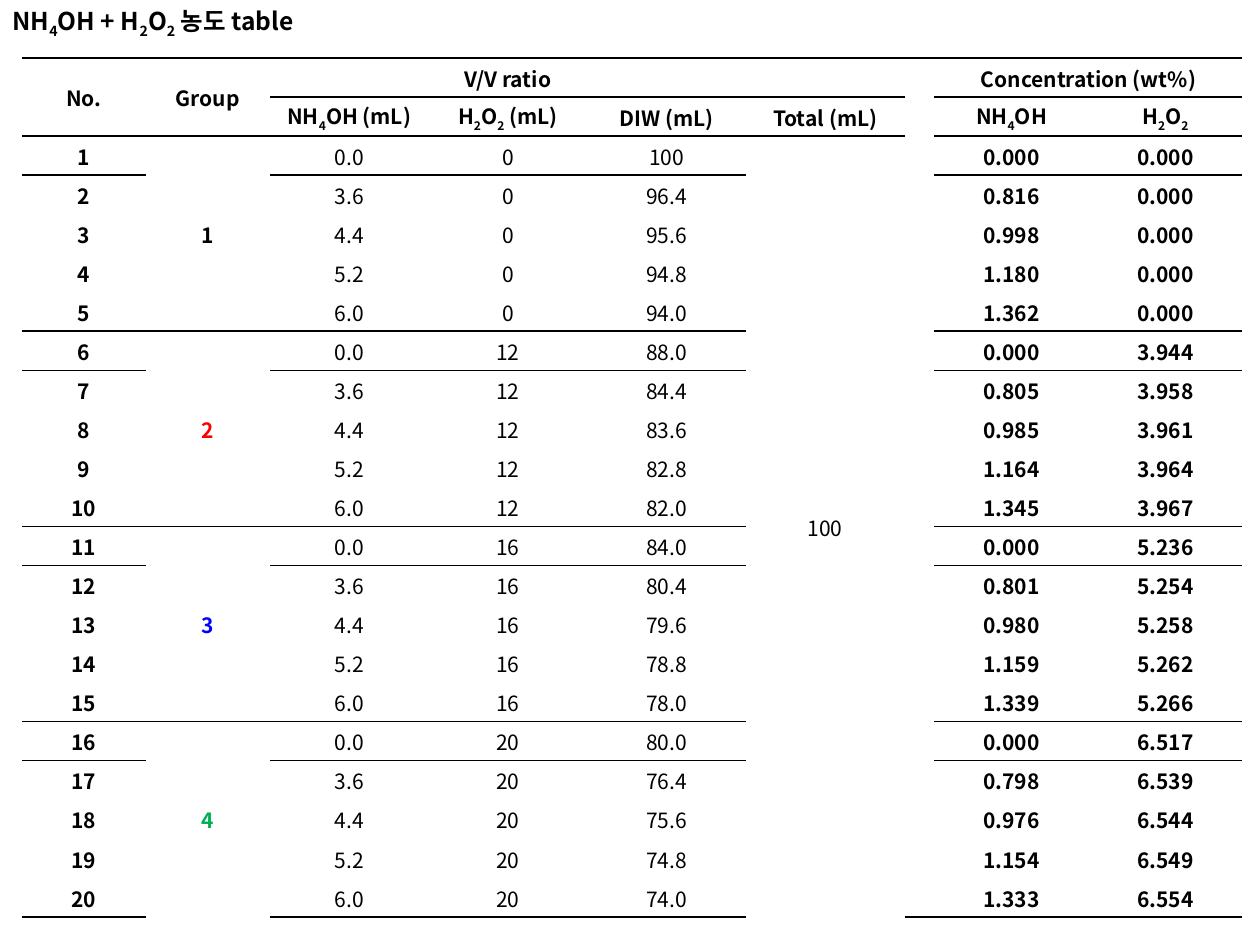
from lxml.etree import SubElement
from pptx import Presentation
from pptx.dml.color import RGBColor
from pptx.enum.text import MSO_ANCHOR, MSO_AUTO_SIZE, PP_ALIGN
from pptx.oxml.ns import qn
from pptx.util import Pt

BLACK = RGBColor(0x00, 0x00, 0x00)
RED = RGBColor(0xFF, 0x00, 0x00)
BLUE = RGBColor(0x00, 0x00, 0xFF)
GREEN = RGBColor(0x00, 0xB0, 0x50)

FONT = "Noto Sans CJK KR"
NO_STYLE = "{2D5ABB26-0587-4C30-8999-92F81FD0307C}"
COLUMN_WIDTHS = [70.8] * 2 + [90.7] * 4 + [17.1] + [88] * 2
TOTAL, GAP = 5, 6
CONCENTRATIONS = (7, 8)

NH4OH_DOSES = "0.0 3.6 4.4 5.2 6.0".split()
GROUPS = [
    (BLACK, "0", "100 96.4 95.6 94.8 94.0",
     "0.000 0.816 0.998 1.180 1.362", "0.000 0.000 0.000 0.000 0.000"),
    (RED, "12", "88.0 84.4 83.6 82.8 82.0",
     "0.000 0.805 0.985 1.164 1.345", "3.944 3.958 3.961 3.964 3.967"),
    (BLUE, "16", "84.0 80.4 79.6 78.8 78.0",
     "0.000 0.801 0.980 1.159 1.339", "5.236 5.254 5.258 5.262 5.266"),
    (GREEN, "20", "80.0 76.4 75.6 74.8 74.0",
     "0.000 0.798 0.976 1.154 1.333", "6.517 6.539 6.544 6.549 6.554"),
]
GROUP_SIZE = len(NH4OH_DOSES)
HEADER_ROWS = 2
ROW_COUNT = HEADER_ROWS + GROUP_SIZE * len(GROUPS)


def write_formula(paragraph, text, size, bold=True, color=BLACK):
    """Write text in which each underscore lowers the next character."""
    font = paragraph.font
    font.name, font.size, font.bold = FONT, Pt(size), bold
    font.color.rgb = color
    SubElement(font._element, qn("a:ea"), typeface=FONT)
    plain, *lowered = text.split("_")
    if plain:
        paragraph.add_run().text = plain
    for part in lowered:
        subscript = paragraph.add_run()
        subscript.text = part[0]
        subscript.font._element.set("baseline", "-25000")
        if part[1:]:
            paragraph.add_run().text = part[1:]


def add_title(slide, left, top, width, height):
    """Place the heading of the slide."""
    title = slide.shapes.add_textbox(Pt(left), Pt(top), Pt(width), Pt(height))
    frame = title.text_frame
    frame.word_wrap = False
    frame.auto_size = MSO_AUTO_SIZE.SHAPE_TO_FIT_TEXT
    write_formula(frame.paragraphs[0], "NH_4OH + H_2O_2 농도 table", 14)


def table_entries():
    """Return the text, weight and colour of each filled cell by position."""
    headings = {
        (0, 0): "No.", (0, 1): "Group", (0, 2): "V/V ratio",
        (0, 7): "Concentration (wt%)",
        (1, 2): "NH_4OH (mL)", (1, 3): "H_2O_2 (mL)", (1, 4): "DIW (mL)",
        (1, TOTAL): "Total (mL)", (1, 7): "NH_4OH", (1, 8): "H_2O_2",
    }
    entries = {spot: (text, True, BLACK) for spot, text in headings.items()}
    entries[HEADER_ROWS, TOTAL] = ("100", False, BLACK)
    for index, (color, h2o2, diw, nh4oh_wt, h2o2_wt) in enumerate(GROUPS):
        start = HEADER_ROWS + index * GROUP_SIZE
        entries[start, 1] = (str(index + 1), True, color)
        samples = zip(NH4OH_DOSES, diw.split(), nh4oh_wt.split(), h2o2_wt.split())
        for row, (dose, water, base_wt, peroxide_wt) in enumerate(samples, start):
            number = str(row - HEADER_ROWS + 1)
            values = {0: number, 2: dose, 3: h2o2, 4: water, 7: base_wt, 8: peroxide_wt}
            for column, value in values.items():
                bold = column == 0 or column in CONCENTRATIONS
                entries[row, column] = (value, bold, BLACK)
    return entries


def ruled_columns():
    """Return the columns that each horizontal rule crosses, by row boundary."""
    every = set(range(len(COLUMN_WIDTHS)))
    rules = {
        boundary: every - {TOTAL, GAP}
        for boundary in range(HEADER_ROWS, ROW_COUNT, GROUP_SIZE)
    }
    rules.update({0: every, 1: every - {0, 1, GAP}, HEADER_ROWS: every - {GAP},
                  ROW_COUNT: every})
    return rules


def add_rule(cell, side):
    """Draw a black line on the top or bottom side of a cell."""
    line = SubElement(cell._tc.get_or_add_tcPr(), qn(side), w=str(Pt(1)))
    SubElement(SubElement(line, qn("a:solidFill")), qn("a:srgbClr"), val=str(BLACK))


def add_concentration_table(slide, left, top, width, height):
    """Place the table of mixing ratios and concentrations."""
    table = slide.shapes.add_table(
        ROW_COUNT, len(COLUMN_WIDTHS), Pt(left), Pt(top), Pt(width), Pt(height)
    ).table
    table.first_row = table.horz_banding = False
    table._tbl.tblPr.find(qn("a:tableStyleId")).text = NO_STYLE
    for column, share in zip(table.columns, COLUMN_WIDTHS):
        column.width = Pt(round(width * share / sum(COLUMN_WIDTHS), 2))
    for row in table.rows:
        row.height = Pt(round(height / ROW_COUNT, 2))

    entries, rules = table_entries(), ruled_columns()
    for row in range(ROW_COUNT):
        for column in range(len(COLUMN_WIDTHS)):
            cell = table.cell(row, column)
            cell.margin_left = cell.margin_right = cell.margin_top = Pt(0.72)
            cell.margin_bottom = Pt(0)
            cell.vertical_anchor = MSO_ANCHOR.MIDDLE
            for boundary, side in ((row, "a:lnT"), (row + 1, "a:lnB")):
                if column in rules.get(boundary, ()):
                    add_rule(cell, side)
            cell.fill.background()
            paragraph = cell.text_frame.paragraphs[0]
            paragraph.alignment = PP_ALIGN.CENTER
            text, bold, color = entries.get((row, column), ("", False, BLACK))
            write_formula(paragraph, text, 12, bold, color)

    spans = [((0, 0), (1, 0)), ((0, 1), (1, 1)), ((0, 2), (0, 4)), ((0, 7), (0, 8)),
             ((HEADER_ROWS, TOTAL), (ROW_COUNT - 1, TOTAL))]
    spans += [((start, 1), (start + GROUP_SIZE - 1, 1))
              for start in range(HEADER_ROWS, ROW_COUNT, GROUP_SIZE)]
    for first, last in spans:
        table.cell(*first).merge(table.cell(*last))


def main():
    """Build the slide and save it."""
    deck = Presentation()
    deck.slide_width, deck.slide_height = Pt(720), Pt(540)
    slide = deck.slides.add_slide(deck.slide_layouts[6])
    add_title(slide, 0, 0, 188.6, 24.5)
    add_concentration_table(slide, 12.6, 33.1, 697.5, 491.3)
    deck.save("out.pptx")


if __name__ == "__main__":
    main()
